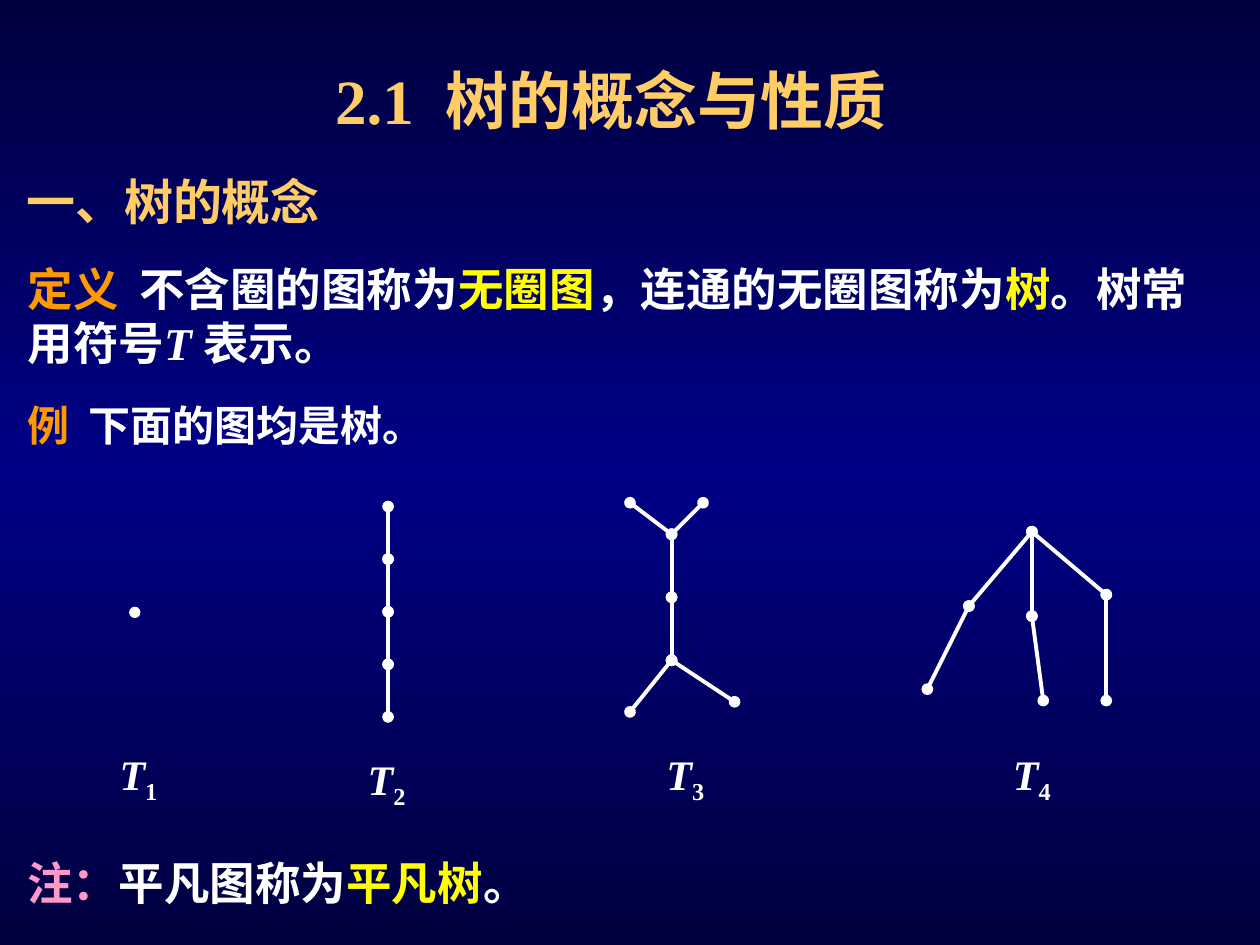
from lxml.etree import SubElement
from copy import deepcopy
from pptx import Presentation
from pptx.dml.color import RGBColor
from pptx.enum.shapes import MSO_CONNECTOR as Conn, MSO_SHAPE as Shape
from pptx.enum.text import MSO_ANCHOR as Anchor, MSO_AUTO_SIZE as AutoSize, PP_ALIGN as Align
from pptx.oxml.ns import qn
from pptx.util import Inches, Pt

FONT = "Times New Roman"
WHITE, YELLOW, GOLD, ORANGE, PINK = "FFFFFF", "FFFF00", "FFCC66", "FF9900", "FF99CC"
NAVY, BLUE = "00003E", "000086"


def rgb(value):
    return RGBColor.from_string(value)


def set_background(s):
    """Vertical gradient, dark at both edges and lighter in the middle."""
    fill = s.background.fill
    fill.gradient()
    fill.gradient_angle = 90
    stops = s.element.xpath(".//a:gsLst")[0]
    stops.insert(1, deepcopy(stops[0]))
    for stop, position, color in zip(fill.gradient_stops, (0, 0.5, 1), (NAVY, BLUE, NAVY)):
        stop.position = position
        stop.color.rgb = rgb(color)


def write(sp, box, size, runs, before=0):
    """Place sp at box and fill it with (text, colour[, italic[, baseline]]) runs."""
    sp.left, sp.top, sp.width, sp.height = map(Inches, box)
    tf = sp.text_frame
    tf.word_wrap = True
    tf.auto_size = AutoSize.SHAPE_TO_FIT_TEXT
    tf.vertical_anchor = Anchor.TOP
    p = tf.paragraphs[0]
    p.alignment = Align.LEFT
    p.space_before = Pt(before)
    for text, color, *style in runs:
        r = p.add_run()
        r.text = text
        r.font.name, r.font.size, r.font.bold = FONT, Pt(size), True
        r.font.italic = bool(style and style[0])
        r.font.color.rgb = rgb(color)
        if len(style) > 1:
            r._r.get_or_add_rPr().set("baseline", str(style[1]))


def add_text(shapes, box, size, runs, before=0):
    write(shapes.add_textbox(0, 0, 0, 0), box, size, runs, before)


def add_edge(shapes, start, end):
    """White line with a round vertex at each end."""
    c = shapes.add_connector(Conn.STRAIGHT, *map(Inches, (*start, *end)))
    c.line.width = Pt(2.25)
    c.line.color.rgb = rgb(WHITE)
    spPr = c.element.spPr
    ln = spPr.find(qn("a:ln"))
    for tag in ("a:headEnd", "a:tailEnd"):
        SubElement(ln, qn(tag), type="oval")
    SubElement(spPr, qn("a:effectLst"))


def add_vertex(shapes, center, size=0.08):
    x, y = center
    sp = shapes.add_shape(Shape.OVAL, *map(Inches, (x - size / 2, y - size / 2, size, size)))
    sp.shadow.inherit = False
    sp.fill.solid()
    sp.fill.fore_color.rgb = rgb(WHITE)
    sp.line.color.rgb = rgb(WHITE)
    sp.line.width = Pt(0.75)


def add_tree(s, number, label_at, points, edges):
    shapes = s.shapes.add_group_shape().shapes
    for a, b in edges:
        add_edge(shapes, points[a], points[b])
    if not edges:
        add_vertex(shapes, points[0])
    add_text(shapes, (*label_at, 0.92, 0.56), 24,
             [("T", WHITE, True), (str(number), WHITE, False, -25000)])


def main():
    prs = Presentation()
    prs.slide_width, prs.slide_height = Inches(10), Inches(7.5)
    s = prs.slides.add_slide(prs.slide_layouts[5])
    set_background(s)

    write(s.shapes.title, (2.56, 0.44, 4.8, 0.7), 36, [("2.1  树的概念与性质", GOLD)])
    add_text(s.shapes, (0.11, 1.31, 2.92, 0.57), 28, [("一、树的概念", GOLD)], 17.5)
    add_text(s.shapes, (0.12, 2.02, 9.45, 0.97), 26, [
        ("定义  ", ORANGE), ("不含圈的图称为", WHITE), ("无圈图", YELLOW),
        ("，连通的无圈图称为", WHITE), ("树", YELLOW), ("。树常用符号", WHITE),
        ("T ", WHITE, True), ("表示。", WHITE)], 16.2)
    add_text(s.shapes, (0.12, 3.12, 3.78, 0.5), 24,
             [("例", ORANGE), ("  下面的图均是树。", WHITE)], 15)

    add_tree(s, 1, (0.85, 5.89), [(1.07, 4.86)], [])
    add_tree(s, 2, (2.82, 5.93), [(3.08, 4.02 + 0.4175 * i) for i in range(5)],
             [(i, i + 1) for i in range(4)])
    add_tree(s, 3, (5.19, 5.89),
             [(5, 3.99), (5.58, 3.99), (5.33, 4.24), (5.33, 4.74), (5.33, 5.24),
              (5, 5.65), (5.83, 5.57)],
             [(0, 2), (1, 2), (2, 3), (3, 4), (4, 5), (4, 6)])
    add_tree(s, 4, (7.94, 5.89),
             [(8.19, 4.22), (7.69, 4.81), (8.19, 4.89), (8.78, 4.72),
              (7.36, 5.47), (8.28, 5.56), (8.78, 5.56)],
             [(0, 1), (0, 2), (0, 3), (1, 4), (2, 5), (3, 6)])

    add_text(s.shapes, (0.12, 6.74, 4.96, 0.54), 26, [
        ("注：", PINK), ("平凡图称为", WHITE), ("平凡树", YELLOW), ("。", WHITE)], 16.2)
    prs.save("out.pptx")


if __name__ == "__main__":
    main()
